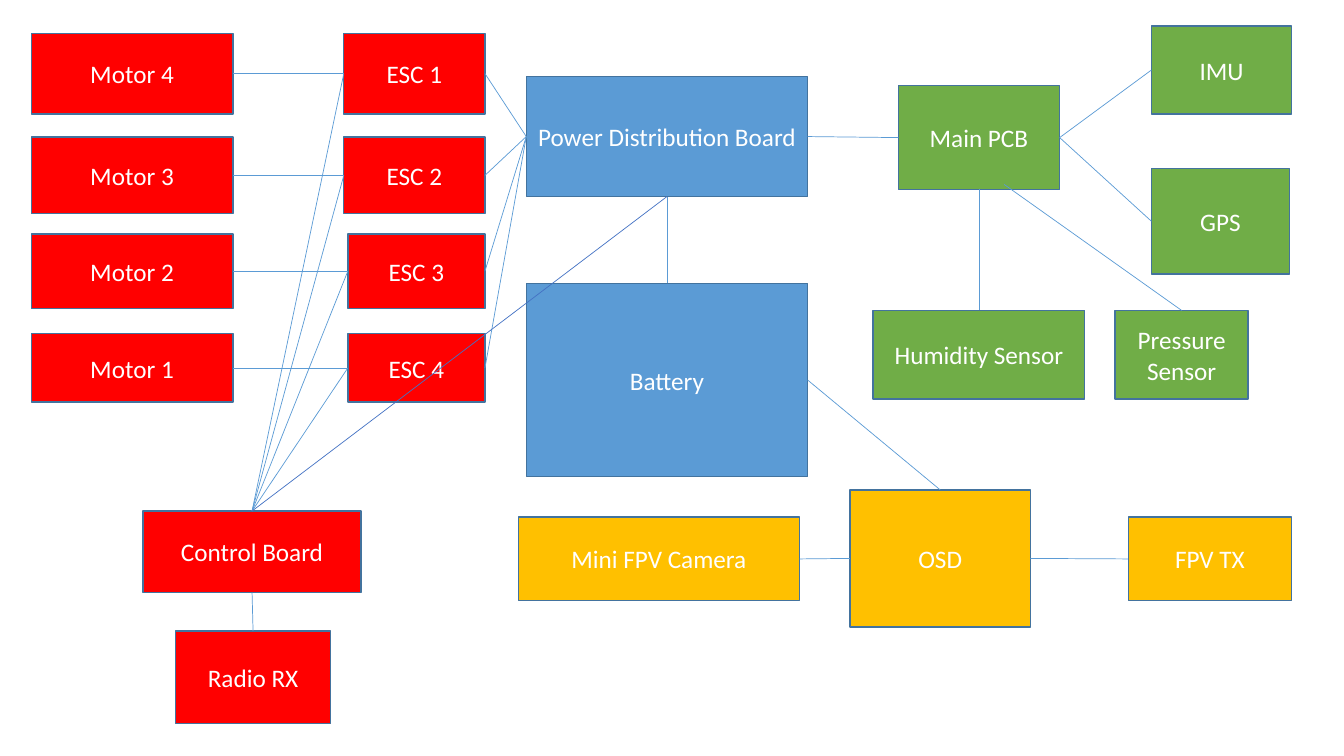
from pptx import Presentation
from pptx.dml.color import RGBColor
from pptx.enum.shapes import MSO_CONNECTOR, MSO_SHAPE
from pptx.enum.text import MSO_ANCHOR, PP_ALIGN
from pptx.oxml.ns import qn
from pptx.util import Inches, Pt
from lxml.etree import SubElement

BLUE, GREEN, AMBER, RED = "5B9BD5", "70AD47", "FFC000", "FF0000"
OUTLINE, POWER_FEED = "43739E", "4472C4"
TOP, LEFT, BOTTOM, RIGHT = range(4)

UNITS = {
    BLUE: [
        ("Battery", 5.22, 2.81, 2.79, 1.92),
        ("Power Distribution Board", 5.22, 0.76, 2.79, 1.19),
    ],
    GREEN: [
        ("Main PCB", 8.91, 0.85, 1.6, 1.03),
        ("Humidity Sensor", 8.66, 3.08, 2.1, 0.88),
        ("GPS", 11.42, 1.67, 1.37, 1.05),
        ("IMU", 11.42, 0.26, 1.39, 0.87),
        ("Pressure Sensor", 11.06, 3.08, 1.32, 0.88),
    ],
    AMBER: [
        ("OSD", 8.43, 4.86, 1.79, 1.36),
        ("Mini FPV Camera", 5.14, 5.13, 2.79, 0.83),
        ("FPV TX", 11.19, 5.13, 1.62, 0.83),
    ],
    RED: [
        ("Control Board", 1.42, 5.07, 2.16, 0.81),
        ("Radio RX", 1.74, 6.26, 1.54, 0.92),
    ],
}

MOTOR_LEFT, MOTOR_WIDTH, ESC_RIGHT = 0.31, 2, 4.81
DRIVES = [
    ("Motor 4", "ESC 1", 3.41, 0.33, 0.8),
    ("Motor 3", "ESC 2", 3.41, 1.36, 0.76),
    ("Motor 2", "ESC 3", 3.45, 2.32, 0.74),
    ("Motor 1", "ESC 4", 3.45, 3.31, 0.68),
]

WIRES = [
    ("Radio RX", TOP, "Control Board", BOTTOM),
    ("Power Distribution Board", BOTTOM, "Battery", TOP),
    ("Power Distribution Board", RIGHT, "Main PCB", LEFT),
    ("Main PCB", RIGHT, "IMU", LEFT),
    ("Main PCB", RIGHT, "GPS", LEFT),
    ("Main PCB", BOTTOM, "Humidity Sensor", TOP),
    ("Battery", RIGHT, "OSD", TOP),
    ("OSD", RIGHT, "FPV TX", LEFT),
    ("Mini FPV Camera", RIGHT, "OSD", LEFT),
]
PRESSURE_TAP = (9.96, 1.83)

prs = Presentation()
prs.slide_width, prs.slide_height = Inches(13.33), Inches(7.5)
slide = prs.slides.add_slide(prs.slide_layouts[6])
placed = {}


def rgb(value):
    return RGBColor.from_string(value)


def write(frame, text, size=18, font="Calibri", color="FFFFFF", align=PP_ALIGN.CENTER):
    frame.word_wrap = True
    frame.vertical_anchor = MSO_ANCHOR.MIDDLE
    paragraph = frame.paragraphs[0]
    paragraph.alignment = align
    run = paragraph.add_run()
    run.text = text
    run.font.size, run.font.name = Pt(size), font
    run.font.color.rgb = rgb(color)


def add_unit(name, left, top, width, height, fill):
    unit = slide.shapes.add_shape(
        MSO_SHAPE.RECTANGLE, *map(Inches, (left, top, width, height)))
    unit.shadow.inherit = False
    unit.fill.solid()
    unit.fill.fore_color.rgb = rgb(fill)
    unit.line.color.rgb = rgb(OUTLINE)
    unit.line.width = Pt(1)
    write(unit.text_frame, name)
    placed[name] = unit


def add_wire(source, source_side, target, target_side, color=BLUE, start=(0, 0)):
    wire = slide.shapes.add_connector(
        MSO_CONNECTOR.STRAIGHT, *map(Inches, start), 0, 0)
    if source:
        wire.begin_connect(placed[source], source_side)
    wire.end_connect(placed[target], target_side)
    wire.line.color.rgb = rgb(color)
    wire.line.width = Pt(0.5)
    SubElement(wire.element.spPr, qn("a:effectLst"))


for fill, units in UNITS.items():
    for unit in units:
        add_unit(*unit, fill)

for motor, esc, esc_left, top, height in DRIVES:
    add_unit(motor, MOTOR_LEFT, top, MOTOR_WIDTH, height, RED)
    add_unit(esc, esc_left, top, ESC_RIGHT - esc_left, height, RED)

for motor, esc, *_ in DRIVES:
    add_wire(motor, RIGHT, esc, LEFT)
    add_wire("Control Board", TOP, esc, LEFT)
    add_wire(esc, RIGHT, "Power Distribution Board", LEFT)

for wire in WIRES:
    add_wire(*wire)
add_wire("Control Board", TOP, "Power Distribution Board", BOTTOM, color=POWER_FEED)
add_wire(None, None, "Pressure Sensor", TOP, start=PRESSURE_TAP)

prs.save("out.pptx")
